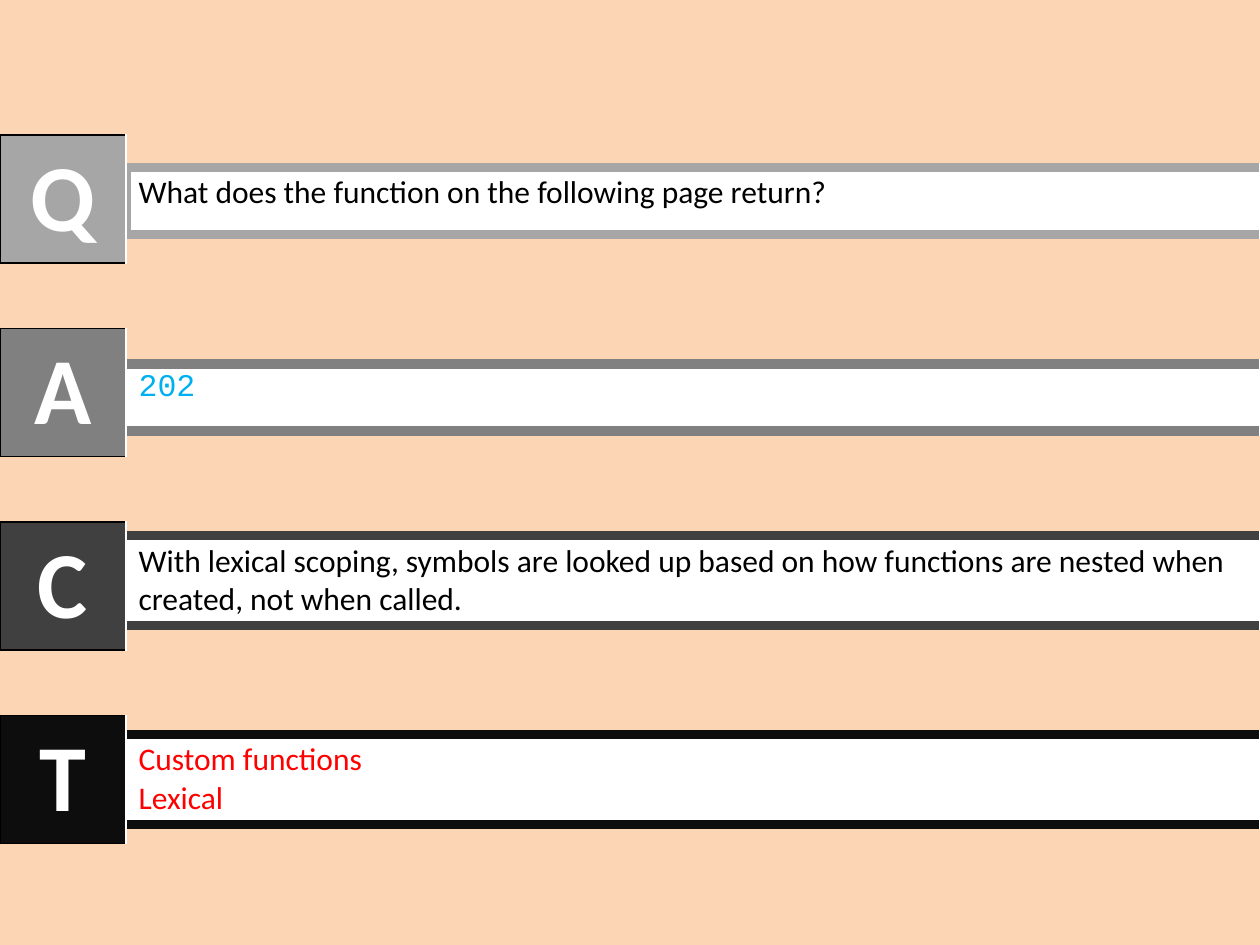
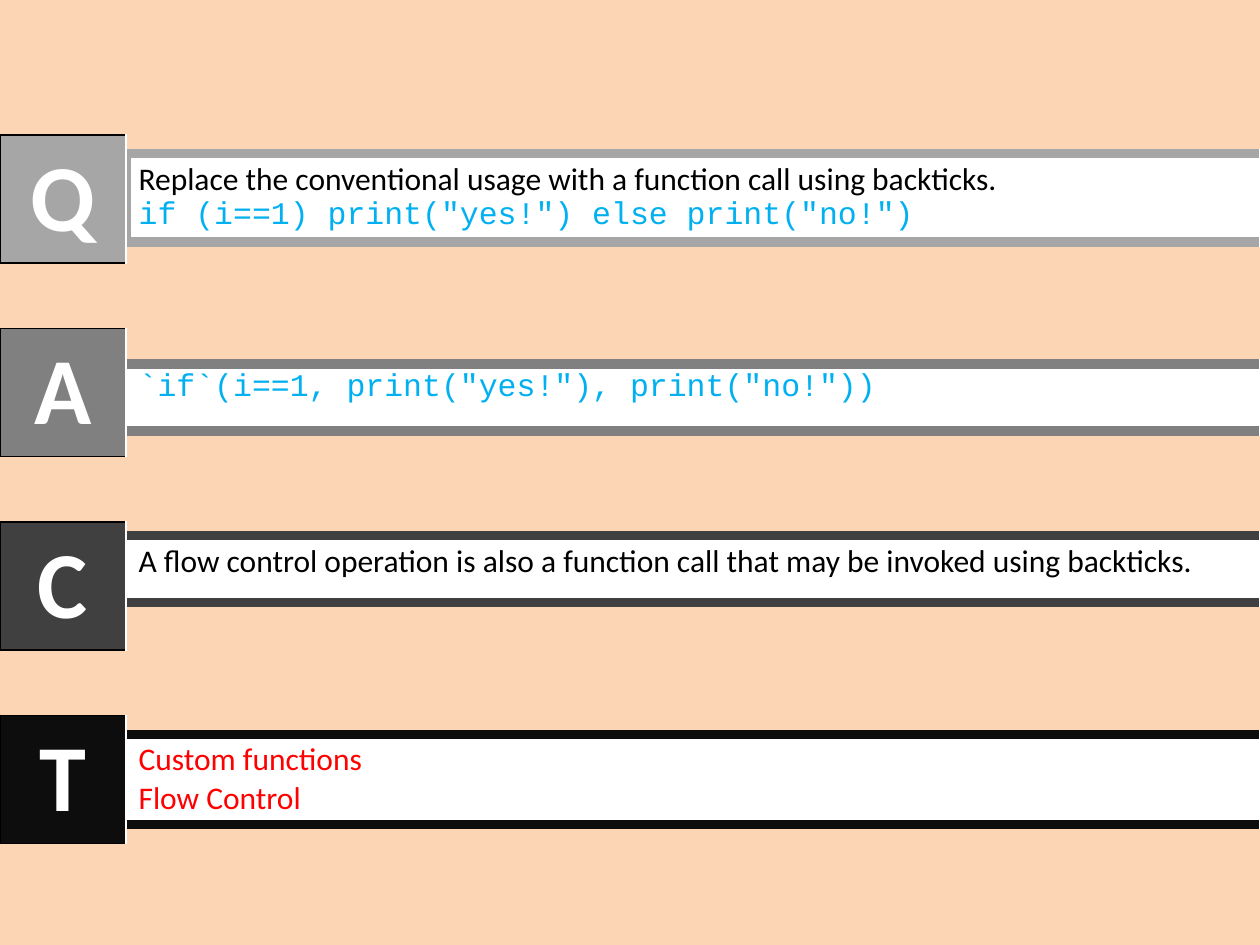
from dataclasses import dataclass

from lxml import etree
from pptx import Presentation
from pptx.dml.color import RGBColor
from pptx.enum.text import MSO_ANCHOR, PP_ALIGN
from pptx.oxml.ns import qn
from pptx.util import Cm, Pt

CENTER = PP_ALIGN.CENTER
MIDDLE = MSO_ANCHOR.MIDDLE

# Shared look
PEACH, WHITE, BLACK = "FCD5B5", "FFFFFF", "000000"
CODE_BLUE, TOPIC_RED = "00B0F0", "FF0000"
PAGE_WIDTH, PAGE_HEIGHT = 25.4, 19.05
TILE_SIZE, TILE_TOP, TILE_PITCH = 2.54, 2.72, 3.9
ONE_LINE, TWO_LINES = 1.35, 1.78
BODY_SIZE, LETTER_SIZE = 18, 54
THICK, THIN = 6, 1


@dataclass(frozen=True)
class TextStyle:
    font: str
    color: str
    size: int = BODY_SIZE
    bold: bool = False


@dataclass(frozen=True)
class Line:
    text: str
    style: TextStyle


@dataclass(frozen=True)
class Edge:
    color: str
    width: float


@dataclass(frozen=True)
class Borders:
    left: Edge
    right: Edge
    top: Edge
    bottom: Edge


@dataclass(frozen=True)
class Section:
    letter: str
    shade: str
    left_edge: Edge


@dataclass(frozen=True)
class Band:
    top: float
    height: float
    lines: tuple[Line, ...]


PLAIN = TextStyle("Calibri", BLACK)
CODE = TextStyle("Courier New", CODE_BLUE)
TOPIC = TextStyle("Calibri", TOPIC_RED)
LETTER = TextStyle("Calibri", WHITE, LETTER_SIZE, True)

WHITE_EDGE = Edge(WHITE, THIN)
BLACK_EDGE = Edge(BLACK, THIN)
TILE_BORDERS = Borders(BLACK_EDGE, WHITE_EDGE, BLACK_EDGE, BLACK_EDGE)

# Question, answer, comment, topic
SECTIONS = (
    Section("Q", "A6A6A6", Edge("A6A6A6", THICK)),
    Section("A", "808080", WHITE_EDGE),
    Section("C", "404040", WHITE_EDGE),
    Section("T", "0D0D0D", WHITE_EDGE),
)
ANSWER_TOP, COMMENT_TOP, TOPIC_TOP = 7.34, 10.8, 14.81

PAGES = (
    (
        Band(3.38, ONE_LINE, (
            Line("What does the function on the following page return?", PLAIN),)),
        Band(ANSWER_TOP, ONE_LINE, (Line("202", CODE),)),
        Band(COMMENT_TOP, TWO_LINES, (
            Line("With lexical scoping, symbols are looked up based on how functions "
                 "are nested when created, not when called.", PLAIN),)),
        Band(TOPIC_TOP, TWO_LINES, (
            Line("Custom functions", TOPIC), Line("Lexical", TOPIC))),
    ),
    (
        Band(3.1, TWO_LINES, (
            Line("Replace the conventional usage with a function call using backticks.",
                 PLAIN),
            Line('if (i==1) print("yes!") else print("no!")', CODE))),
        Band(ANSWER_TOP, ONE_LINE, (
            Line('`if`(i==1, print("yes!"), print("no!"))', CODE),)),
        Band(COMMENT_TOP, ONE_LINE, (
            Line("A flow control operation is also a function call that may be "
                 "invoked using backticks.", PLAIN),)),
        Band(TOPIC_TOP, TWO_LINES, (
            Line("Custom functions", TOPIC), Line("Flow Control", TOPIC))),
    ),
)


def paint(fill, color: str) -> None:
    fill.solid()
    fill.fore_color.rgb = RGBColor.from_string(color)


def set_borders(cell, borders: Borders) -> None:
    properties = cell._tc.get_or_add_tcPr()
    sides = (("a:lnL", borders.left), ("a:lnR", borders.right),
             ("a:lnT", borders.top), ("a:lnB", borders.bottom))
    for tag, edge in sides:
        line = etree.SubElement(properties, qn(tag), w=str(Pt(edge.width)))
        solid = etree.SubElement(line, qn("a:solidFill"))
        etree.SubElement(solid, qn("a:srgbClr"), val=edge.color)


def write_lines(cell, lines: tuple[Line, ...]) -> None:
    frame = cell.text_frame
    for index, line in enumerate(lines):
        para = frame.add_paragraph() if index else frame.paragraphs[0]
        span = para.add_run()
        span.text = line.text
        span.font.name = line.style.font
        span.font.size = Pt(line.style.size)
        span.font.bold = line.style.bold
        span.font.color.rgb = RGBColor.from_string(line.style.color)


def add_cell(page, left: float, top: float, width: float, height: float,
             color: str, borders: Borders, lines: tuple[Line, ...]):
    """Draw a table of one cell and return the cell."""
    table = page.shapes.add_table(
        1, 1, Cm(left), Cm(top), Cm(width), Cm(height)).table
    table.first_row = False
    table.horz_banding = False
    cell = table.cell(0, 0)
    set_borders(cell, borders)
    paint(cell.fill, color)
    write_lines(cell, lines)
    return cell


def add_band(page, section: Section, band: Band) -> None:
    rule = Edge(section.shade, THICK)
    borders = Borders(section.left_edge, WHITE_EDGE, rule, rule)
    add_cell(page, TILE_SIZE, band.top, PAGE_WIDTH - TILE_SIZE, band.height,
             WHITE, borders, band.lines)


def add_tile(page, section: Section, position: int) -> None:
    cell = add_cell(page, 0, TILE_TOP + position * TILE_PITCH, TILE_SIZE, TILE_SIZE,
                    section.shade, TILE_BORDERS, (Line(section.letter, LETTER),))
    cell.vertical_anchor = MIDDLE
    cell.text_frame.paragraphs[0].alignment = CENTER


def add_page(deck, bands: tuple[Band, ...]) -> None:
    page = deck.slides.add_slide(deck.slide_layouts[6])
    paint(page.background.fill, PEACH)
    for section, band in zip(SECTIONS, bands):
        add_band(page, section, band)
    for position, section in enumerate(SECTIONS):
        add_tile(page, section, position)


def main() -> None:
    deck = Presentation()
    deck.slide_width, deck.slide_height = Cm(PAGE_WIDTH), Cm(PAGE_HEIGHT)
    for bands in PAGES:
        add_page(deck, bands)
    deck.save("out.pptx")


if __name__ == "__main__":
    main()
